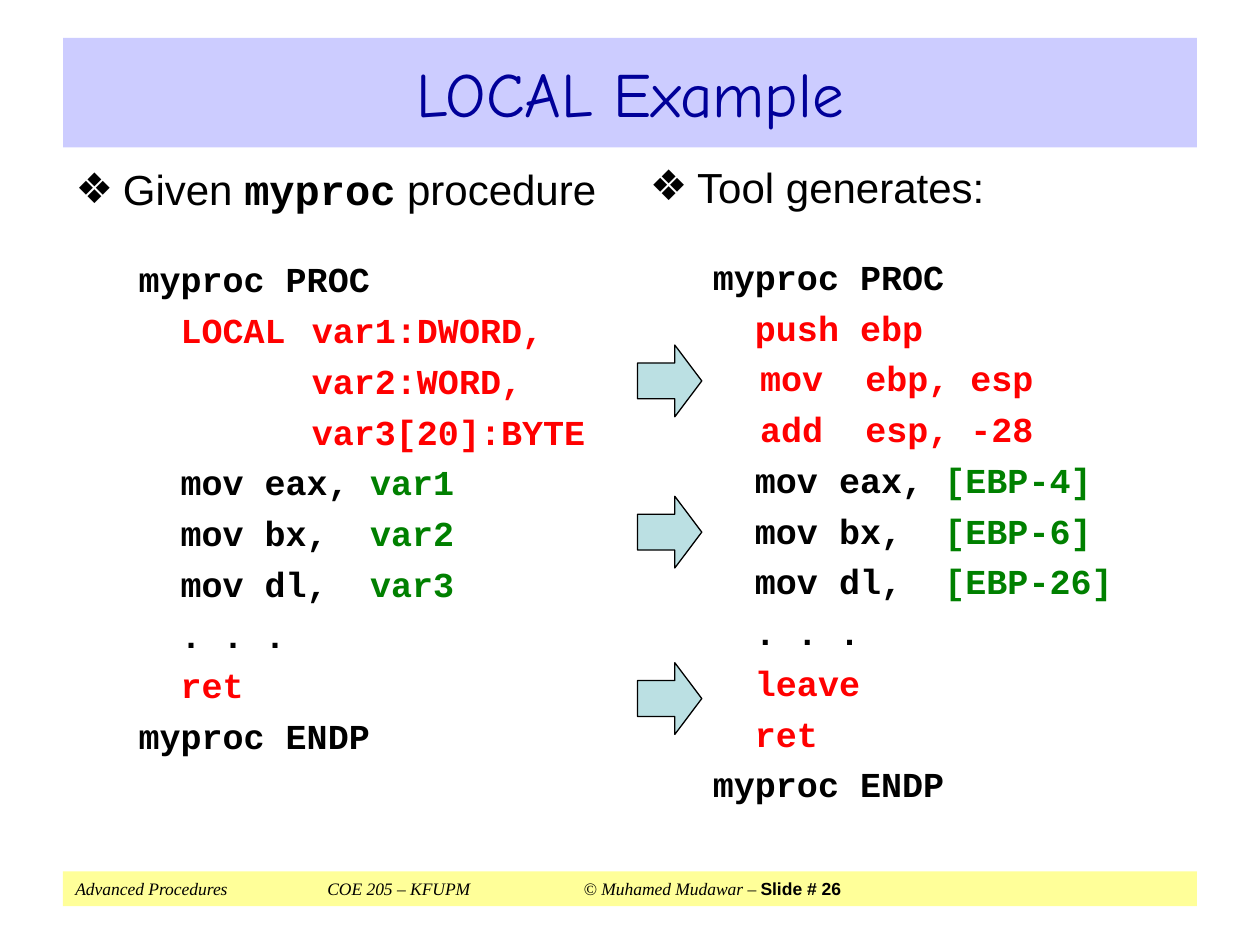
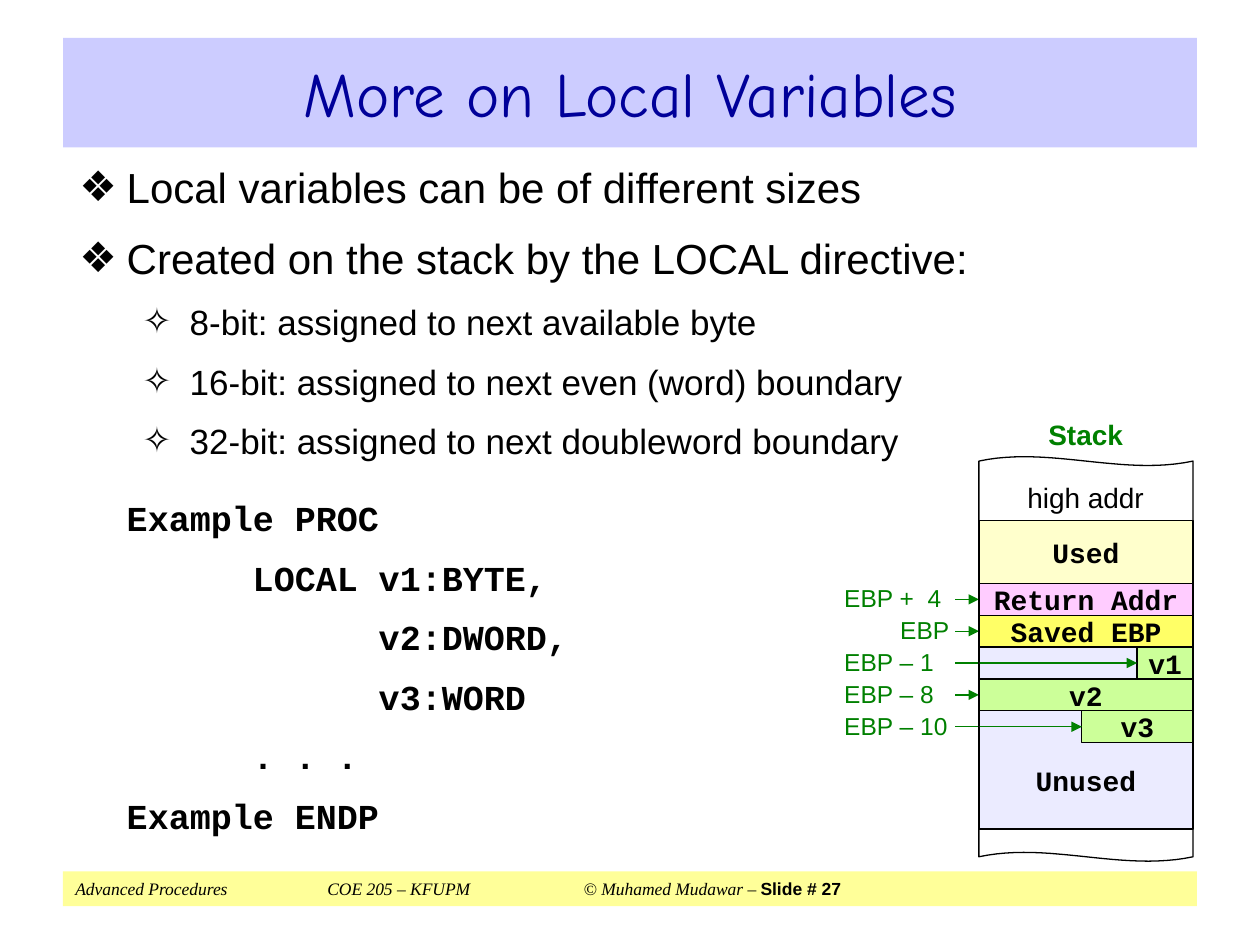
"""Build two slides on local variables in assembly procedures."""
from lxml import etree
from pptx import Presentation
from pptx.dml.color import RGBColor
from pptx.enum.shapes import MSO_CONNECTOR, MSO_SHAPE
from pptx.enum.text import MSO_ANCHOR, MSO_AUTO_SIZE, PP_ALIGN
from pptx.oxml.ns import qn
from pptx.util import Pt

RECT, ARROW = MSO_SHAPE.RECTANGLE, MSO_SHAPE.RIGHT_ARROW
LINE = MSO_CONNECTOR.STRAIGHT
LEFT, MID = PP_ALIGN.LEFT, PP_ALIGN.CENTER
TOP, CENTER, BOTTOM = MSO_ANCHOR.TOP, MSO_ANCHOR.MIDDLE, MSO_ANCHOR.BOTTOM
FIXED = MSO_AUTO_SIZE.NONE

THEME = {
    "ink": "000000", "navy": "000099", "red": "FF0000", "green": "008000",
    "band": "CCCCFF", "foot": "FFFF99", "arrow": "BBE0E3", "free": "EBEBFF",
    "used": "FFFFCC", "ret": "FFCCFF", "saved": "FFFF66", "var": "CCFF99",
    "sans": "Arial", "mono": "Courier New", "title": "Comic Neue", "serif": "Times New Roman",
    "head": 36, "main": 24, "sub": 20, "cell": 16, "label": 14, "small": 10, "edge": 0.75,
}
SANS, MONO = THEME["sans"], THEME["mono"]
PLAIN = {"name": SANS, "bold": False, "italic": False, "size": THEME["main"], "color": "ink",
         "align": LEFT, "gap": 0, "left": 0, "hang": 0, "mark": None, "level": 0}
CODE = PLAIN | {"name": MONO, "bold": True, "size": THEME["sub"]}
STYLE = {
    "title": PLAIN | {"name": THEME["title"], "size": THEME["head"], "color": "navy", "align": MID},
    "foot": PLAIN | {"name": THEME["serif"], "size": THEME["small"], "italic": True},
    "point": PLAIN | {"left": 27, "hang": -27, "gap": 12, "mark": "❖"},
    "sub": PLAIN | {"size": THEME["sub"], "left": 63, "hang": -27, "gap": 10, "mark": "✧", "level": 1},
    "proc": CODE | {"left": 63, "hang": -27, "gap": 25, "level": 1},
    "code": CODE | {"left": 63, "hang": -27, "gap": 5, "level": 1},
    "open": CODE | {"left": 27, "hang": -27, "gap": 20},
    "wide": CODE | {"left": 27, "hang": -27, "gap": 10},
    "cell": CODE | {"size": THEME["cell"], "align": MID},
    "note": PLAIN | {"size": THEME["cell"], "align": MID},
    "stack": PLAIN | {"size": THEME["cell"], "align": MID, "bold": True, "color": "green"},
    "label": PLAIN | {"size": THEME["label"], "color": "green"},
}


def write(shape, rows, anchor=TOP, pads=(7.2, 3.6, 7.2, 3.6)):
    """Fill a shape with rows of (style, text or list of (text, changes))."""
    frame = shape.text_frame
    sides = ("margin_left", "margin_top", "margin_right", "margin_bottom")
    look = {"word_wrap": True, "auto_size": FIXED, "vertical_anchor": anchor}
    for key, val in (look | dict(zip(sides, map(Pt, pads)))).items():
        setattr(frame, key, val)
    for n, (kind, runs) in enumerate(rows):
        style = STYLE[kind]
        para = frame.add_paragraph() if n else frame.paragraphs[0]
        props = para._p.get_or_add_pPr()
        for key, val in {"marL": style["left"], "indent": style["hang"], "defTabSz": 72}.items():
            props.set(key, str(Pt(val)))
        if style["mark"]:
            tint = etree.SubElement(props, qn("a:buClr"))
            etree.SubElement(tint, qn("a:srgbClr"), val=THEME["ink"])
            etree.SubElement(props, qn("a:buSzPct"), val="100000")
            etree.SubElement(props, qn("a:buFont"), typeface=SANS)
            etree.SubElement(props, qn("a:buChar"), char=style["mark"])
        else:
            etree.SubElement(props, qn("a:buNone"))
        form = {"level": style["level"], "alignment": style["align"], "line_spacing": 1.0,
                "space_before": Pt(style["gap"] if n else 0), "space_after": Pt(0)}
        for key, val in form.items():
            setattr(para, key, val)
        for text, change in [(runs, {})] if isinstance(runs, str) else runs:
            run = para.add_run()
            run.text = text
            mix = style | change
            for key in ("name", "bold", "italic"):
                setattr(run.font, key, mix[key])
            run.font.size = Pt(mix["size"])
            run.font.color.rgb = RGBColor.from_string(THEME[mix["color"]])


def box(slide, area, fill=None, edge=True, kind=RECT):
    """Add a flat preset shape."""
    shape = slide.shapes.add_shape(kind, *map(Pt, area))
    shape.shadow.inherit = False
    if fill:
        shape.fill.solid()
        shape.fill.fore_color.rgb = RGBColor.from_string(THEME[fill])
    else:
        shape.fill.background()
    if edge:
        shape.line.color.rgb = RGBColor.from_string(THEME["ink"])
        shape.line.width = Pt(THEME["edge"])
    else:
        shape.line.fill.background()
    return shape


RED, GREEN, INK = {"color": "red"}, {"color": "green"}, {}
given = [
    ("point", [("Given ", INK), ("myproc", {"name": MONO, "bold": True}), (" procedure", INK)]),
    ("proc", "myproc PROC"),
    ("code", [("  ", INK), ("LOCAL\tvar1:DWORD,", RED)]),
    ("code", [("\t\tvar2:WORD,", RED)]),
    ("code", [("\t\tvar3[20]:BYTE", RED)]),
    ("code", [("  mov eax, ", INK), ("var1", GREEN)]),
    ("code", [("  mov bx,  ", INK), ("var2", GREEN)]),
    ("code", [("  mov dl,  ", INK), ("var3", GREEN)]),
    ("code", "  . . ."),
    ("code", [("  ret", RED)]),
    ("code", "myproc ENDP"),
]
made = [
    ("point", "Tool generates:"),
    ("proc", "myproc PROC"),
    ("code", [("  push ebp", RED)]),
    ("code", [("\tmov  ebp, esp", RED)]),
    ("code", [("\tadd  esp, -28", RED)]),
    ("code", [("  mov eax, ", INK), ("[EBP-4]", GREEN)]),
    ("code", [("  mov bx,  ", INK), ("[EBP-6]", GREEN)]),
    ("code", [("  mov dl,  ", INK), ("[EBP-26]", GREEN)]),
    ("code", "  . . ."),
    ("code", [("  leave", RED)]),
    ("code", [("  ret", RED)]),
    ("code", "myproc ENDP"),
]
sizes = [
    ("point", "Local variables can be of different sizes"),
    ("point", "Created on the stack by the LOCAL directive:"),
    ("sub", "8-bit: assigned to next available byte"),
    ("sub", "16-bit: assigned to next even (word) boundary"),
    ("sub", "32-bit: assigned to next doubleword boundary"),
    ("open", "\tExample PROC"),
    ("wide", "\t\tLOCAL\tv1:BYTE,"),
    ("wide", "\t\t\tv2:DWORD,"),
    ("wide", "\t\t\tv3:WORD"),
    ("wide", "\t\t. . ."),
    ("wide", "\tExample ENDP"),
]

deck = Presentation()
deck.slide_width, deck.slide_height = Pt(720), Pt(540)

pages = [
    (26, "LOCAL Example", given, (36, 90, 428.4, 405.4)),
    (27, "More on Local Variables", sizes, (38.2, 88.6, 648.7, 408.2)),
]
slides = []
for num, name, rows, area in pages:
    slide = deck.slides.add_slide(deck.slide_layouts[1])
    slides.append(slide)
    title, body = slide.placeholders
    for shape, spot in ((title, (36, 21.6, 648, 62.6)), (body, area)):
        for key, val in zip(("left", "top", "width", "height"), spot):
            setattr(shape, key, Pt(val))
    title.fill.solid()
    title.fill.fore_color.rgb = RGBColor.from_string(THEME["band"])
    write(title, [("title", name)], CENTER)
    write(body, rows)
    foot = box(slide, (36, 498, 648, 19.8), "foot", False)
    write(foot, [("foot", [
        ("Advanced Procedures\tCOE 205 – KFUPM\t © Muhamed Mudawar – ", {}),
        (f"Slide # {num}", {"name": SANS, "italic": False, "bold": True}),
    ])], CENTER)

first, second = slides

right = first.shapes.add_textbox(Pt(364.3), Pt(88.6), Pt(317.5), Pt(404))
write(right, made)
for top in (197.2, 283.6, 378.7):
    arrow = box(first, (364.3, top, 36.7, 41), "arrow", kind=ARROW)
    arrow.adjustments[0], arrow.adjustments[1] = 0.5, 0.42

x, y, wide, row = 559.4, 333.4, 122.4, 18.2
end = x + wide
bare = (0, 0, 0, 0)
rest = box(second, (x, y, wide, 140.4), "free")
write(rest, [("cell", "Unused")], BOTTOM, (7.2, 0, 7.2, 18.1))
used = box(second, (x, y - 36, wide, 36), "used")
write(used, [("cell", "Used")], CENTER, bare)
for kind, text, top in (("note", "high addr", 274.3), ("stack", "Stack", 238.3)):
    write(box(second, (x + 3, top, 116, 18), edge=False), [(kind, text)], TOP, bare)

reach = 545.8
slots = [
    ("Return Addr", "ret", wide, "EBP +  4", 63.4),
    ("Saved EBP", "saved", wide, "EBP", 31.4),
    ("v1", "var", 32, "EBP – 1", 63.4),
    ("v2", "var", wide, "EBP – 8", 63.4),
    ("v3", "var", 63.6, "EBP – 10", 63.4),
]
for n, (text, fill, width, mark, span) in enumerate(slots):
    top = y + n * row
    cell = box(second, (end - width, top, width, row), fill)
    write(cell, [("cell", text)], CENTER, bare)
    label = box(second, (reach - span, top, span, row), edge=False)
    write(label, [("label", mark)], TOP, bare)
    link = second.shapes.add_connector(LINE, Pt(reach), Pt(top), Pt(end - width), Pt(top))
    link.begin_connect(label, 3)
    link.end_connect(cell, 1)
    link.line.color.rgb = RGBColor.from_string(THEME["green"])
    link.line.width = Pt(THEME["edge"])
    etree.SubElement(link.line._get_or_add_ln(), qn("a:tailEnd"), type="triangle")
    etree.SubElement(link._element.spPr, qn("a:effectLst"))

steps = [n / 24 for n in range(25)]
wave = [(x + wide * t, 26 * t * (1 - t) * (2 * t - 1)) for t in steps]
edge = [(a, 263.5 + b) for a, b in wave] + [(a, 489.6 + b) for a, b in reversed(wave)]
edge = [(Pt(a), Pt(b)) for a, b in edge]
trace = second.shapes.build_freeform(*edge[0], scale=1.0)
trace.add_line_segments(edge[1:], close=True)
sheet = trace.convert_to_shape()
sheet.shadow.inherit = False
sheet.fill.background()
sheet.line.color.rgb = RGBColor.from_string(THEME["ink"])
sheet.line.width = Pt(THEME["edge"])

deck.save("out.pptx")
